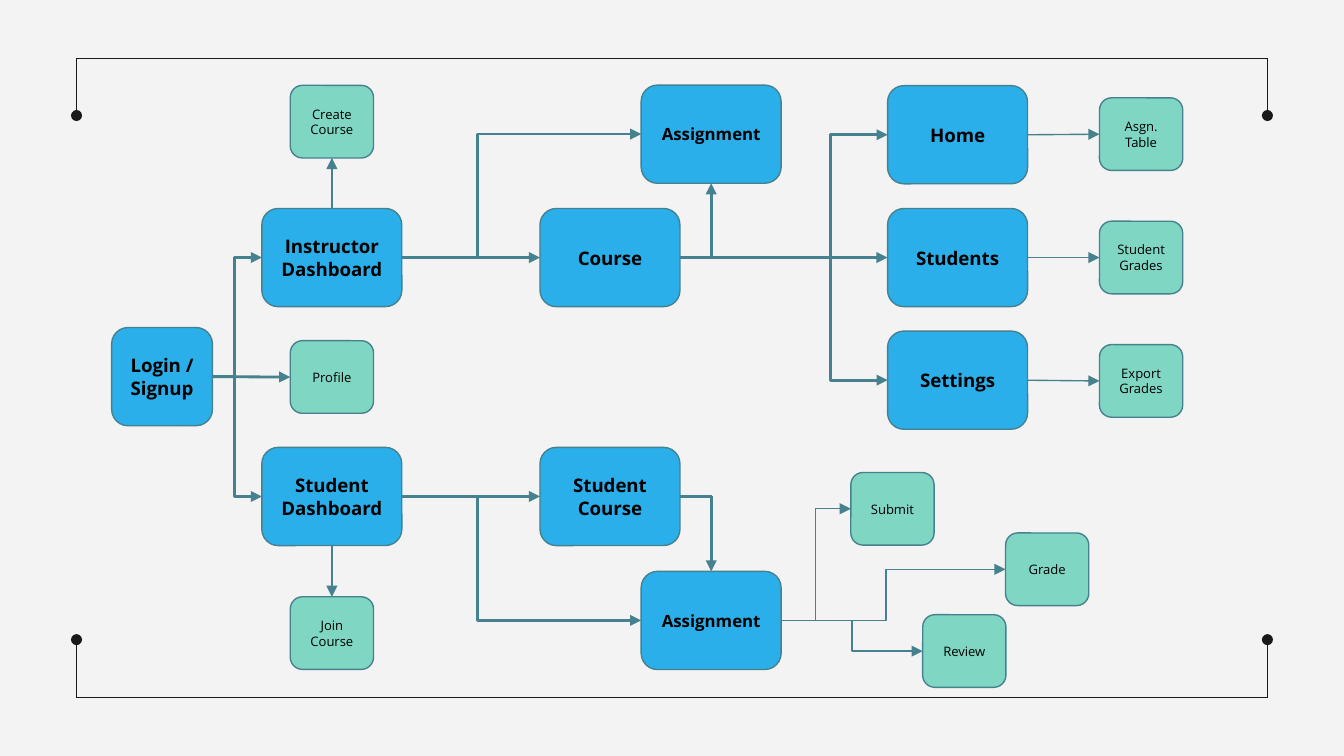
from pptx import Presentation
from pptx.dml.color import RGBColor
from pptx.enum.shapes import MSO_CONNECTOR, MSO_SHAPE
from pptx.enum.text import MSO_ANCHOR, PP_ALIGN
from pptx.oxml.ns import qn
from pptx.oxml.xmlchemy import OxmlElement
from pptx.util import Pt

BACKGROUND = RGBColor(0xF3, 0xF3, 0xF3)
INK = RGBColor(0x19, 0x19, 0x19)
BLACK = RGBColor(0x00, 0x00, 0x00)
BLUE = RGBColor(0x2A, 0xAF, 0xEB)
MINT = RGBColor(0x7F, 0xD6, 0xC3)
TEAL = RGBColor(0x45, 0x81, 0x8E)
TOP, LEFT, BOTTOM, RIGHT = range(4)
THIN, THICK = 0.75, 1.5


class FlowSlide:
    """Draws the pages, actions and links of a site map on one slide."""

    font_name = "Open Sans"

    def __init__(self, slide):
        self.slide = slide
        slide.background.fill.solid()
        slide.background.fill.fore_color.rgb = BACKGROUND

    def box(self, text, center, size, fill, font_size, bold):
        (x, y), (width, height) = center, size
        shape = self.slide.shapes.add_shape(
            MSO_SHAPE.ROUNDED_RECTANGLE,
            Pt(x - width / 2), Pt(y - height / 2), Pt(width), Pt(height))
        shape.shadow.inherit = False
        shape.fill.solid()
        shape.fill.fore_color.rgb = fill
        shape.line.color.rgb = TEAL
        shape.line.width = Pt(THIN)
        text_frame = shape.text_frame
        text_frame.text = text
        text_frame.word_wrap = True
        text_frame.vertical_anchor = MSO_ANCHOR.MIDDLE
        text_frame.margin_top = text_frame.margin_bottom = Pt(7.2)
        for paragraph in text_frame.paragraphs:
            paragraph.alignment = PP_ALIGN.CENTER
            for run in paragraph.runs:
                run.font.name = self.font_name
                run.font.size = Pt(font_size)
                run.font.bold = bold
                run.font.color.rgb = BLACK
        return shape

    def page(self, text, x, y, width=75, font_size=10):
        return self.box(text, (x, y), (width, 52.6), BLUE, font_size, True)

    def action(self, text, x, y):
        return self.box(text, (x, y), (44.6, 38.9), MINT, 7, False)

    def line(self, start, end, color, weight, tail=None, kind=MSO_CONNECTOR.STRAIGHT):
        connector = self.slide.shapes.add_connector(
            kind, *(Pt(value) for value in (*start, *end)))
        connector.line.color.rgb = color
        connector.line.width = Pt(weight)
        if tail:
            tail_end = OxmlElement("a:tailEnd")
            tail_end.set("type", tail)
            connector.line._get_or_add_ln().append(tail_end)
        connector._element.spPr.append(OxmlElement("a:effectLst"))
        return connector

    def link(self, source, target, weight, bend=None, sites=(RIGHT, LEFT)):
        corner = sites[0] == RIGHT and sites[1] != LEFT
        kind = MSO_CONNECTOR.ELBOW if bend or corner else MSO_CONNECTOR.STRAIGHT
        connector = self.line((0, 0), (0, 0), TEAL, weight, "triangle", kind)
        connector.begin_connect(source, sites[0])
        connector.end_connect(target, sites[1])
        geometry = connector._element.spPr.find(qn("a:prstGeom"))
        if corner:
            geometry.set("prst", "bentConnector2")
        if bend:
            share = (Pt(bend) - connector.begin_x) / (connector.end_x - connector.begin_x)
            guide = OxmlElement("a:gd")
            guide.set("name", "adj1")
            guide.set("fmla", f"val {round(share * 100000)}")
            geometry.find(qn("a:avLst")).append(guide)

    def frame(self, left, right, edge, dot):
        self.line((left, edge), (right, edge), INK, THIN)
        for x in (left, right):
            self.line((x, edge), (x, dot), INK, THIN, "oval")


def main():
    """Build the site map and save it."""
    presentation = Presentation()
    presentation.slide_width, presentation.slide_height = Pt(720), Pt(405)
    flow = FlowSlide(presentation.slides.add_slide(presentation.slide_layouts[6]))

    flow.frame(41, 679, 31.3, 61.9)
    flow.frame(41, 679, 373.7, 342.7)

    dashboard_x, course_x, assignment_x, tab_x, tab_action_x = 177.8, 326.8, 381, 513, 611.3
    home_y, instructor_y, settings_y, student_y, work_y = 72.2, 138, 203.7, 266, 332.4

    login = flow.page("Login /\nSignup", 86.8, 201.8, width=54)
    instructor = flow.page("Instructor Dashboard", dashboard_x, instructor_y)
    student = flow.page("Student Dashboard", dashboard_x, student_y)
    course = flow.page("Course", course_x, instructor_y)
    student_course = flow.page("Student Course", course_x, student_y)
    assignment = flow.page("Assignment", assignment_x, 71.9, font_size=9)
    student_work = flow.page("Assignment", assignment_x, work_y, font_size=9)
    home = flow.page("Home", tab_x, home_y)
    students = flow.page("Students", tab_x, instructor_y)
    settings = flow.page("Settings", tab_x, settings_y)

    create = flow.action("Create Course", dashboard_x, 65.2)
    profile = flow.action("Profile", dashboard_x, 202)
    join = flow.action("Join Course", dashboard_x, 339.2)
    table = flow.action("Asgn.\nTable", tab_action_x, 71.9)
    grades = flow.action("Student Grades", tab_action_x, 138)
    export = flow.action("Export Grades", tab_action_x, 204.1)
    submit = flow.action("Submit", 478.1, 272.6)
    grade = flow.action("Grade", 561, 305)
    review = flow.action("Review", 516.6, 348.8)

    flow.link(login, profile, THICK)
    for dashboard in (instructor, student):
        flow.link(login, dashboard, THICK, bend=125.5)
    flow.link(instructor, create, THIN, sites=(TOP, BOTTOM))
    flow.link(student, join, THIN, sites=(BOTTOM, TOP))
    for dashboard, own_course, work, side in (
            (instructor, course, assignment, BOTTOM),
            (student, student_course, student_work, TOP)):
        flow.link(dashboard, own_course, THICK)
        flow.link(dashboard, work, THICK, bend=255.7)
        flow.link(own_course, work, THICK, sites=(RIGHT, side))
    for tab, bend, detail in (
            (home, 444.7, table), (students, None, grades), (settings, 444.7, export)):
        flow.link(course, tab, THICK, bend=bend)
        flow.link(tab, detail, THIN)
    for task, bend in ((submit, 437), (grade, 474.6), (review, 456.4)):
        flow.link(student_work, task, THIN, bend=bend)

    presentation.save("out.pptx")


if __name__ == "__main__":
    main()
